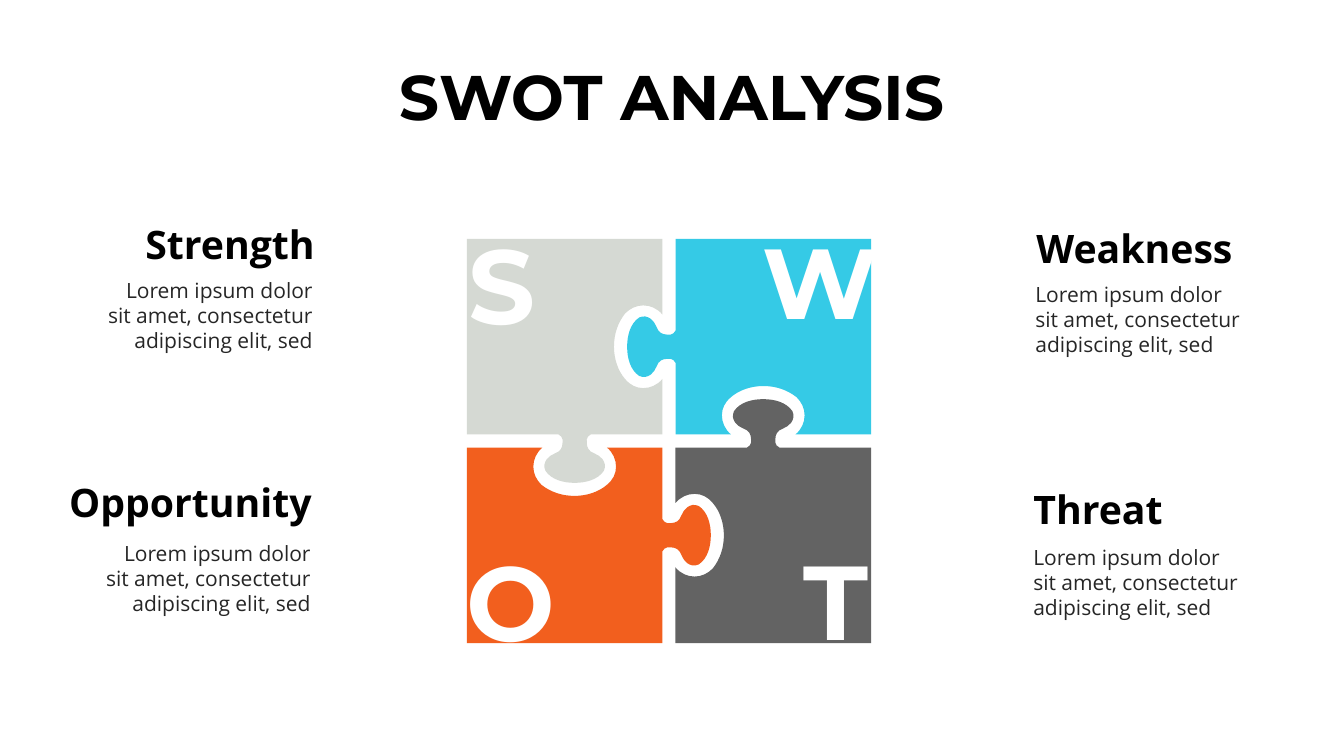
from lxml.etree import SubElement
from pptx import Presentation
from pptx.dml.color import RGBColor
from pptx.enum.text import MSO_ANCHOR, PP_ALIGN
from pptx.oxml.ns import qn
from pptx.util import Inches, Pt

TITLE = "SWOT ANALYSIS"
BODY = "Lorem ipsum dolor sit amet, consectetur adipiscing elit, sed"

# Clockwise from top left: letter, letter size, letter box, piece colour
PIECES = [
    ("S", 75, (4.65, 2.18, 0.76, 1.26), "D5D9D3"),
    ("W", 71, (7.56, 2.18, 1.08, 1.19), "35CAE6"),
    ("T", 75, (7.97, 5.31, 0.74, 1.26), "636363"),
    ("O", 75, (4.63, 5.32, 0.88, 1.26), "F25F1E"),
]

# Heading, heading box, left and top of its body text, alignment
TOPICS = [
    ("Strength", (0.52, 2.19, 2.6, 0.5), (0.91, 2.7), PP_ALIGN.RIGHT),
    ("Weakness", (10.28, 2.23, 2.45, 0.49), (10.17, 2.74), PP_ALIGN.LEFT),
    ("Opportunity", (0.46, 4.74, 2.63, 0.55), (0.89, 5.31), PP_ALIGN.RIGHT),
    ("Threat", (10.25, 4.81, 2.13, 0.53), (10.15, 5.35), PP_ALIGN.LEFT),
]
BODY_SIZE = (2.29, 0.86)

# The top left piece: a single point is a straight edge, three are a Bezier curve
PUZZLE_LEFT, PUZZLE_TOP, PUZZLE_RIGHT, PUZZLE_BOTTOM = 4.63, 2.37, 8.64, 6.38
START = (6.57, 3.12)
OUTLINE = [
    [(6.52, 3.06), (6.45, 3.03), (6.38, 3.03)],
    [(6.31, 3.03), (6.25, 3.06), (6.2, 3.11)],
    [(6.13, 3.2), (6.09, 3.31), (6.09, 3.44)],
    [(6.09, 3.56), (6.13, 3.68), (6.2, 3.76)],
    [(6.25, 3.82), (6.31, 3.85), (6.38, 3.85)],
    [(6.45, 3.85), (6.52, 3.82), (6.57, 3.76)],
    [(6.57, 4.31)],
    [(5.86, 4.31)],
    [(5.84, 4.32), (5.82, 4.34), (5.82, 4.36)],
    [(5.82, 4.41), (5.82, 4.45), (5.86, 4.48)],
    [(5.91, 4.51), (5.98, 4.52), (6, 4.61)],
    [(6, 4.63), (6, 4.65), (5.99, 4.67)],
    [(5.93, 4.76), (5.81, 4.79), (5.7, 4.79)],
    [(5.59, 4.79), (5.47, 4.76), (5.41, 4.67)],
    [(5.4, 4.65), (5.4, 4.63), (5.4, 4.61)],
    [(5.42, 4.52), (5.49, 4.51), (5.54, 4.48)],
    [(5.58, 4.45), (5.58, 4.41), (5.58, 4.36)],
    [(5.58, 4.34), (5.56, 4.32), (5.54, 4.31)],
    [(PUZZLE_LEFT, 4.31)],
    [(PUZZLE_LEFT, PUZZLE_TOP)],
    [(6.57, PUZZLE_TOP)],
]


def color(hex_string):
    return RGBColor.from_string(hex_string)


def rotate(points, quarter_turns):
    """Turn points clockwise about the centre of the puzzle."""
    center_x = (PUZZLE_LEFT + PUZZLE_RIGHT) / 2
    center_y = (PUZZLE_TOP + PUZZLE_BOTTOM) / 2
    for _ in range(quarter_turns):
        points = [(center_x - (y - center_y), center_y + (x - center_x))
                  for x, y in points]
    return points


def bend(piece):
    """Join the lines through the control points of each curve into a Bezier."""
    lines = iter(list(piece.element.iter(qn("a:lnTo"))))
    for segment in OUTLINE:
        edges = [next(lines) for _ in segment]
        if len(edges) == 1:
            continue
        parent = edges[0].getparent()
        curve = SubElement(parent, qn("a:cubicBezTo"))
        edges[0].addprevious(curve)
        for edge in edges:
            curve.append(edge[0])
            parent.remove(edge)


def write(shape, text, font, size, hex_color, bold=True, align=PP_ALIGN.LEFT,
          insets=(0, 0), wrap=True):
    frame = shape.text_frame
    frame.word_wrap = wrap
    frame.vertical_anchor = MSO_ANCHOR.TOP
    frame.margin_left = frame.margin_right = Inches(insets[0])
    frame.margin_top = frame.margin_bottom = Inches(insets[1])
    paragraph = frame.paragraphs[0]
    paragraph.alignment = align
    run = paragraph.add_run()
    run.text = text
    run.font.name = font
    run.font.size = Pt(size)
    run.font.bold = bold
    run.font.color.rgb = color(hex_color)


def add_piece(slide, quarter_turns, letter, size, letter_box, fill):
    group = slide.shapes.add_group_shape()
    corners = [START] + [point for segment in OUTLINE for point in segment]
    points = [(Inches(x), Inches(y)) for x, y in rotate(corners, quarter_turns)]
    builder = group.shapes.build_freeform(*points[0])
    builder.add_line_segments(points[1:], close=True)
    piece = builder.convert_to_shape()
    bend(piece)
    piece.shadow.inherit = False
    piece.fill.solid()
    piece.fill.fore_color.rgb = color(fill)
    piece.line.fill.background()
    label = group.shapes.add_textbox(*map(Inches, letter_box))
    write(label, letter, "Montserrat", size, "FFFFFF", wrap=False)


def add_topic(slide, heading, heading_box, body_corner, align):
    heading_shape = slide.shapes.add_textbox(*map(Inches, heading_box))
    write(heading_shape, heading, "Open Sans", 28, "000000", align=align)
    body_shape = slide.shapes.add_textbox(*map(Inches, body_corner + BODY_SIZE))
    write(body_shape, BODY, "Open Sans", 15, "262626", bold=False, align=align,
          insets=(0.1, 0.05))


def main():
    presentation = Presentation()
    presentation.slide_width = Inches(13.33)
    presentation.slide_height = Inches(7.5)
    slide = presentation.slides.add_slide(presentation.slide_layouts[5])

    title = slide.shapes.title
    title.left, title.top, title.width, title.height = map(Inches, (2.81, 0.57, 7.7, 0.73))
    write(title, TITLE, "Montserrat", 45, "000000", align=PP_ALIGN.CENTER)

    for quarter_turns, piece in enumerate(PIECES):
        add_piece(slide, quarter_turns, *piece)
    for topic in TOPICS:
        add_topic(slide, *topic)

    presentation.save("out.pptx")


if __name__ == "__main__":
    main()
